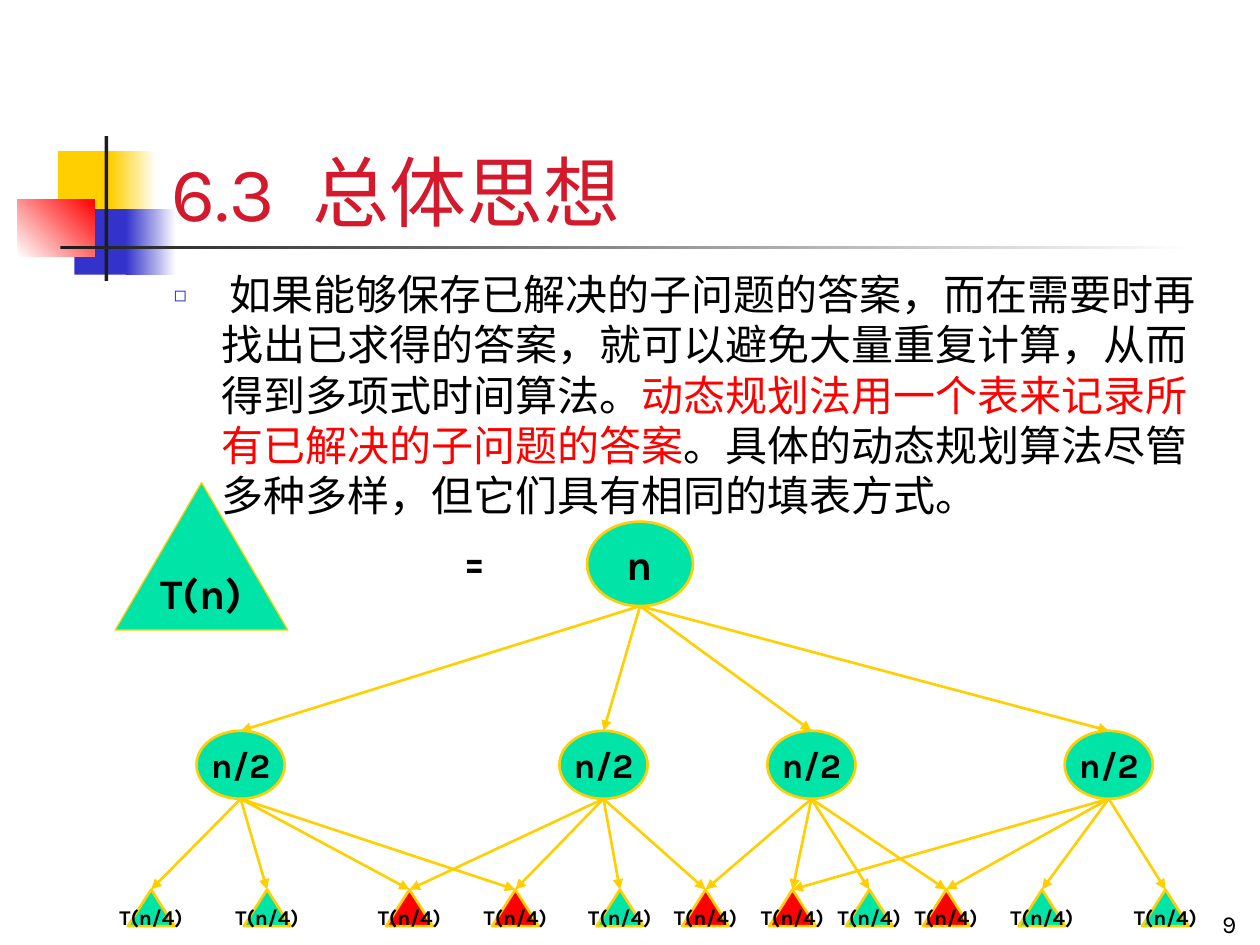
import pptx
import pptx.util
from pptx.dml.color import RGBColor
from pptx.enum.shapes import MSO_CONNECTOR, MSO_SHAPE
from pptx.enum.text import MSO_ANCHOR, MSO_AUTO_SIZE, PP_ALIGN
from pptx.oxml.ns import qn
from pptx.util import Inches
from lxml import etree

YELLOW = RGBColor(0xFF, 0xCF, 0x01)
BLUE = RGBColor(0x33, 0x33, 0xCC)
RED = RGBColor(0xFF, 0x00, 0x00)
WHITE = RGBColor(0xFF, 0xFF, 0xFF)
BLACK = RGBColor(0x00, 0x00, 0x00)
CHARCOAL = RGBColor(0x1C, 0x1C, 0x1C)
CRIMSON = RGBColor(0xD3, 0x19, 0x2B)
GREEN = RGBColor(0x00, 0xE4, 0xA8)
LATIN_FONT = "Karla"
CJK_FONT = "Noto Sans CJK JP"

# Content
BODY_RUNS = [
    (" ", 20, RED),
    ("如果能够保存已解决的子问题的答案，而在需要时再找出已求得的答案，"
     "就可以避免大量重复计算，从而得到多项式时间算法。", 24, BLACK),
    ("动态规划法用一个表来记录所有已解决的子问题的答案", 24, RED),
    ("。具体的动态规划算法尽管多种多样，但它们具有相同的填表方式。", 24, BLACK),
]

# Ornament: left, top, width, height, start colour, end colour, angle
ORNAMENT = [
    (0.46, 1.2, 0.48, 0.52, YELLOW, None, 0),
    (0.88, 1.2, 0.36, 0.52, YELLOW, WHITE, 0),
    (0.59, 1.66, 0.46, 0.52, BLUE, None, 0),
    (1.0, 1.66, 0.4, 0.52, BLUE, WHITE, 0),
    (0.14, 1.58, 0.61, 0.46, WHITE, RED, 45),
    (0.83, 1.08, 0.03, 1.15, CHARCOAL, None, 0),
    (0.48, 1.95, 9.0, 0.03, CHARCOAL, WHITE, 0),
]

# Recursion tree: centres of the leaves, shared ones in red
LEAVES = [(1.2, GREEN), (2.12, GREEN), (3.25, RED), (4.09, RED), (4.92, GREEN),
          (5.6, RED), (6.29, RED), (6.9, GREEN), (7.51, RED), (8.27, GREEN),
          (9.25, GREEN)]
# Centre of each half-size node and the leaves it calls
HALVES = [(1.91, (0, 1, 2, 3)), (4.79, (2, 3, 4, 5)),
          (6.44, (5, 6, 7, 8)), (8.8, (6, 8, 9, 10))]
ROOT_X, ROOT_TOP, ROOT_SIZE = 5.08, 4.14, (0.84, 0.67)
HALF_TOP, HALF_SIZE = 5.8, (0.7, 0.54)
LEAF_TOP, LEAF_SIZE = 7.06, (0.37, 0.29)

presentation = pptx.Presentation()
presentation.slide_width = Inches(10)
presentation.slide_height = Inches(7.5)
slide = presentation.slides.add_slide(presentation.slide_layouts[1])
shapes = slide.shapes


def add_run(paragraph, text, size, color, bold=False, font=LATIN_FONT):
    run = paragraph.add_run()
    run.text = text
    run.font.size = pptx.util.Pt(size)
    run.font.bold = bold
    run.font.name = font
    run.font.color.rgb = color
    east_asian = etree.SubElement(run.font._element, qn("a:ea"))
    east_asian.set("typeface", CJK_FONT)
    return run


def place(shape, left, top, width, height):
    shape.left, shape.top = Inches(left), Inches(top)
    shape.width, shape.height = Inches(width), Inches(height)


def add_node(kind, center, top, size, text, text_size, fill=GREEN, line_width=1.5):
    width, height = size
    node = shapes.add_shape(kind, Inches(center - width / 2), Inches(top),
                            Inches(width), Inches(height))
    node.shadow.inherit = False
    node.fill.solid()
    node.fill.fore_color.rgb = fill
    node.line.color.rgb = YELLOW
    node.line.width = pptx.util.Pt(line_width)
    frame = node.text_frame
    frame.word_wrap = False
    frame.vertical_anchor = MSO_ANCHOR.MIDDLE
    frame.paragraphs[0].alignment = PP_ALIGN.CENTER
    add_run(frame.paragraphs[0], text, text_size, BLACK, bold=True)
    return node


def add_arrow(parent, child):
    start_x, start_y = parent.left + parent.width // 2, parent.top + parent.height
    arrow = shapes.add_connector(MSO_CONNECTOR.STRAIGHT, start_x, start_y,
                                 child.left, child.top)
    arrow.end_connect(child, 0)
    arrow.line.color.rgb = YELLOW
    arrow.line.width = pptx.util.Pt(1.5)
    etree.SubElement(arrow.line._get_or_add_ln(), qn("a:tailEnd"), type="triangle")
    etree.SubElement(arrow._element.spPr, qn("a:effectLst"))


def add_label(left, top, width, height, text, size, alignment, anchor, bold):
    label = shapes.add_textbox(0, 0, 0, 0)
    place(label, left, top, width, height)
    frame = label.text_frame
    frame.word_wrap = True
    frame.vertical_anchor = anchor
    frame.paragraphs[0].alignment = alignment
    add_run(frame.paragraphs[0], text, size, BLACK, bold)


# Ornament, behind everything else
for index, (left, top, width, height, start, end, angle) in enumerate(ORNAMENT):
    block = shapes.add_shape(MSO_SHAPE.RECTANGLE, 0, 0, 0, 0)
    place(block, left, top, width, height)
    block.shadow.inherit = False
    block.line.fill.background()
    if end is None:
        block.fill.solid()
        block.fill.fore_color.rgb = start
    else:
        block.fill.gradient()
        block.fill.gradient_angle = angle
        for stop, color in zip(block.fill.gradient_stops, (start, end)):
            stop.color.rgb = color
    shapes._spTree.insert(2 + index, block._element)

# Title, with a widened space after the number
title = shapes.title
place(title, 1.26, 0.68, 8.52, 1.25)
title.text_frame.vertical_anchor = MSO_ANCHOR.BOTTOM
title.text_frame.auto_size = MSO_AUTO_SIZE.NONE
title_paragraph = title.text_frame.paragraphs[0]
title_paragraph.alignment = PP_ALIGN.LEFT
add_run(title_paragraph, "6.3", 44, CRIMSON)
gap = add_run(title_paragraph, " ", 44, CRIMSON)
gap.font._element.set("spc", "1100")
add_run(title_paragraph, "总体思想", 44, CRIMSON)

# Body
body = slide.placeholders[1]
place(body, 1.28, 2.08, 8.5, 5.42)
body.text_frame.auto_size = MSO_AUTO_SIZE.NONE
body_paragraph = body.text_frame.paragraphs[0]
properties = body_paragraph._p.get_or_add_pPr()
properties.set("marL", str(Inches(0.38)))
properties.set("indent", str(Inches(-0.38)))
bullet_color = etree.SubElement(properties, qn("a:buClr"))
etree.SubElement(bullet_color, qn("a:srgbClr"), val=str(BLUE))
etree.SubElement(properties, qn("a:buSzPct"), val="60000")
etree.SubElement(properties, qn("a:buFont"), typeface=CJK_FONT)
etree.SubElement(properties, qn("a:buChar"), char="◻")
body_paragraph.space_before = pptx.util.Pt(0)
body_paragraph.line_spacing = pptx.util.Pt(28.8)
for text, size, color in BODY_RUNS:
    add_run(body_paragraph, text, size, color, font=CJK_FONT)

# Recursion tree
root = add_node(MSO_SHAPE.OVAL, ROOT_X, ROOT_TOP, ROOT_SIZE, "n", 24)
leaves = [add_node(MSO_SHAPE.ISOSCELES_TRIANGLE, center, LEAF_TOP, LEAF_SIZE,
                   "T(n/4)", 12, fill) for center, fill in LEAVES]
for center, calls in HALVES:
    half = add_node(MSO_SHAPE.OVAL, center, HALF_TOP, HALF_SIZE, "n/2", 20)
    add_arrow(root, half)
    for call in calls:
        add_arrow(half, leaves[call])

# Equation on the left and slide number
add_node(MSO_SHAPE.ISOSCELES_TRIANGLE, 1.6, 3.83, (1.37, 1.17), "T(n)", 24,
         line_width=0.75)
add_label(3.2, 4.2, 1.13, 0.51, "=", 24, PP_ALIGN.CENTER, MSO_ANCHOR.TOP, True)
add_label(7.83, 7.0, 2.08, 0.5, "9", 14, PP_ALIGN.RIGHT, MSO_ANCHOR.BOTTOM, False)

presentation.save("out.pptx")
